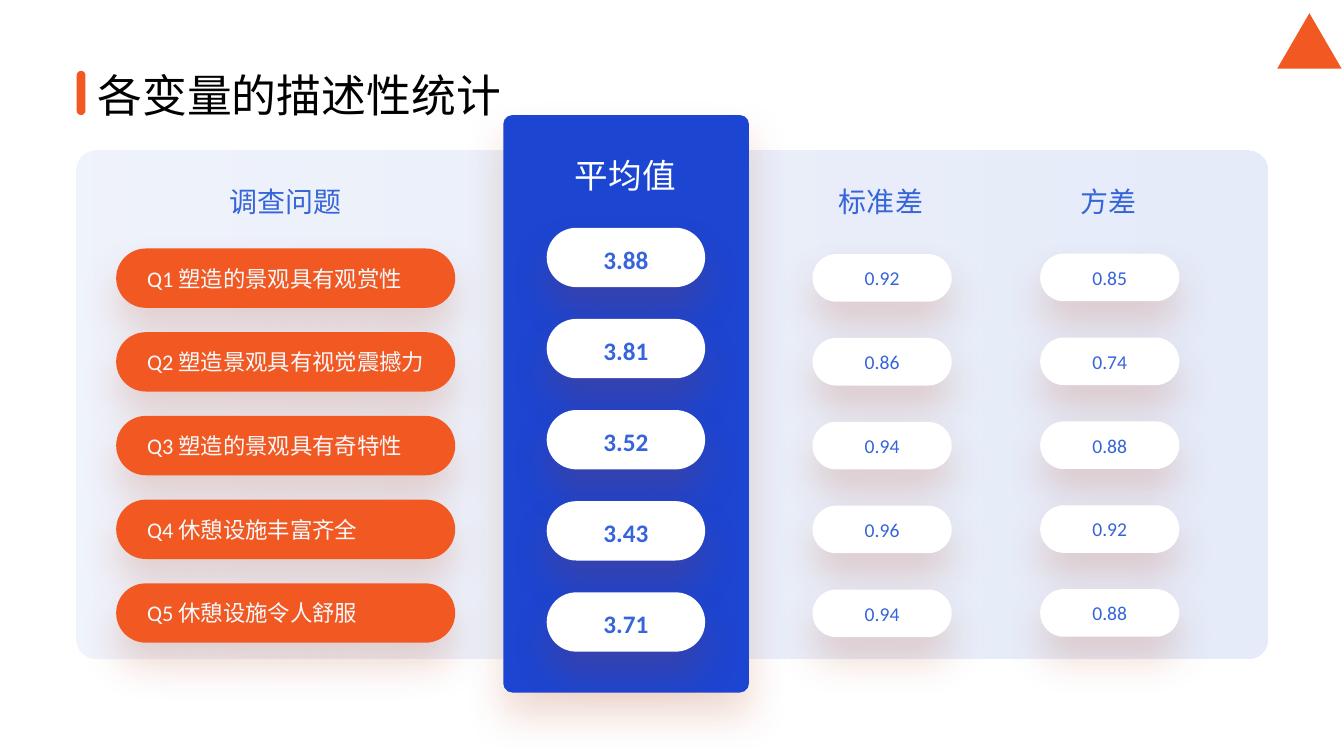
from lxml import etree
from pptx import Presentation
from pptx.dml.color import RGBColor
from pptx.enum.shapes import MSO_SHAPE
from pptx.enum.text import MSO_ANCHOR, PP_ALIGN
from pptx.oxml import parse_xml
from pptx.oxml.ns import qn
from pptx.util import Pt

COLORS = {
    "orange": "F25822", "panel": "E6ECFA", "royal": "1C45D1", "text_blue": "3665D9",
    "pale": "F5F9FC", "white": "FFFFFF", "black": "000000", "shadow": "AE340A",
}
SHADOW = (
    '<a:effectLst xmlns:a="http://schemas.openxmlformats.org/drawingml/2006/main">'
    '<a:outerShdw blurRad="368300" dist="203200" dir="5400000" algn="t" rotWithShape="0">'
    f'<a:srgbClr val="{COLORS["shadow"]}"><a:alpha val="18000"/></a:srgbClr>'
    '</a:outerShdw></a:effectLst>'
)

deck = Presentation()
deck.slide_width, deck.slide_height = Pt(960), Pt(540)
page = deck.slides.add_slide(deck.slide_layouts[6])


def add_block(left, top, width, height, color, corner=0.5, shadow=False):
    block = page.shapes.add_shape(MSO_SHAPE.ROUNDED_RECTANGLE, Pt(left), Pt(top), Pt(width), Pt(height))
    block.adjustments[0] = corner
    block.fill.solid()
    block.fill.fore_color.rgb = RGBColor.from_string(COLORS[color])
    block.line.fill.background()
    block.shadow.inherit = False
    if shadow:
        properties = block.element.spPr
        properties.replace(properties.find(qn("a:effectLst")), parse_xml(SHADOW))
    return block


def write(frame, text, size, color, bold=False, align=PP_ALIGN.LEFT):
    para = frame.paragraphs[0]
    para.alignment = align
    span = para.add_run()
    span.text = text
    span.font.name = "Calibri"
    span.font.size = Pt(size)
    span.font.bold = bold
    span.font.color.rgb = RGBColor.from_string(COLORS[color])


emblem = page.shapes.add_shape(MSO_SHAPE.ISOSCELES_TRIANGLE, Pt(912.3), Pt(9.4), Pt(46), Pt(39.6))
emblem.fill.solid()
emblem.fill.fore_color.rgb = RGBColor.from_string(COLORS["orange"])
emblem.line.fill.background()
emblem.shadow.inherit = False

add_block(54.8, 50.6, 6.2, 31.6, "orange")
panel = add_block(54.5, 107.3, 850.6, 363, "panel", 0.037)
panel.fill.gradient()
panel.fill.gradient_angle = 0
for stop, position in zip(panel.fill.gradient_stops, (0, 1)):
    stop.color.rgb = RGBColor.from_string(COLORS["panel"])
    stop.position = position
first_color = next(panel.element.spPr.iter(qn("a:srgbClr")))
etree.SubElement(first_color, qn("a:alpha")).set("val", "60000")
add_block(359.5, 82.2, 175.5, 412.5, "royal", 0.037, shadow=True)

headings = [
    ("各变量的描述性统计", 62.6, 44.6, 305.3, 46, 32, "black"),
    ("调查问题", 157, 128.2, 95, 31.5, 20, "text_blue"),
    ("标准差", 592.2, 128.2, 75, 31.5, 20, "text_blue"),
    ("方差", 765, 128.2, 55, 31.5, 20, "text_blue"),
    ("平均值", 403.6, 107.3, 87, 36.4, 24, "white"),
]
for text, left, top, width, height, size, color in headings:
    box = page.shapes.add_textbox(Pt(left), Pt(top), Pt(width), Pt(height))
    box.text_frame.word_wrap = False
    write(box.text_frame, text, size, color)

questions = [
    "Q1 塑造的景观具有观赏性", "Q2 塑造景观具有视觉震撼力", "Q3 塑造的景观具有奇特性",
    "Q4 休憩设施丰富齐全", "Q5 休憩设施令人舒服",
]
means = ["3.88", "3.81", "3.52", "3.43", "3.71"]
deviations = ["0.92", "0.86", "0.94", "0.96", "0.94"]
variances = ["0.85", "0.74", "0.88", "0.92", "0.88"]
columns = [
    (questions, 83, 177.5, 242.2, 42.4, 59.8, "orange", 16, "pale", False, PP_ALIGN.LEFT, 16, 0),
    (means, 390.5, 162.7, 113.2, 42.4, 65.1, "white", 18, "text_blue", True, PP_ALIGN.CENTER, 0, 2.5),
    (deviations, 580.4, 181.5, 99.4, 34, 59.9, "white", 14, "text_blue", False, PP_ALIGN.CENTER, 0, 0),
    (variances, 743, 181.2, 99.4, 34, 59.9, "white", 14, "text_blue", False, PP_ALIGN.CENTER, 0, 0),
]
for entries, left, top, width, height, pitch, fill, size, color, bold, align, indent, drop in columns:
    for row, entry in enumerate(entries):
        pill = add_block(left, top + row * pitch, width, height, fill, shadow=True)
        frame = pill.text_frame
        frame.word_wrap = True
        frame.vertical_anchor = MSO_ANCHOR.MIDDLE
        frame.margin_left, frame.margin_top = Pt(indent), Pt(drop)
        frame.margin_right = frame.margin_bottom = Pt(0)
        write(frame, entry, size, color, bold, align)

deck.save("out.pptx")
